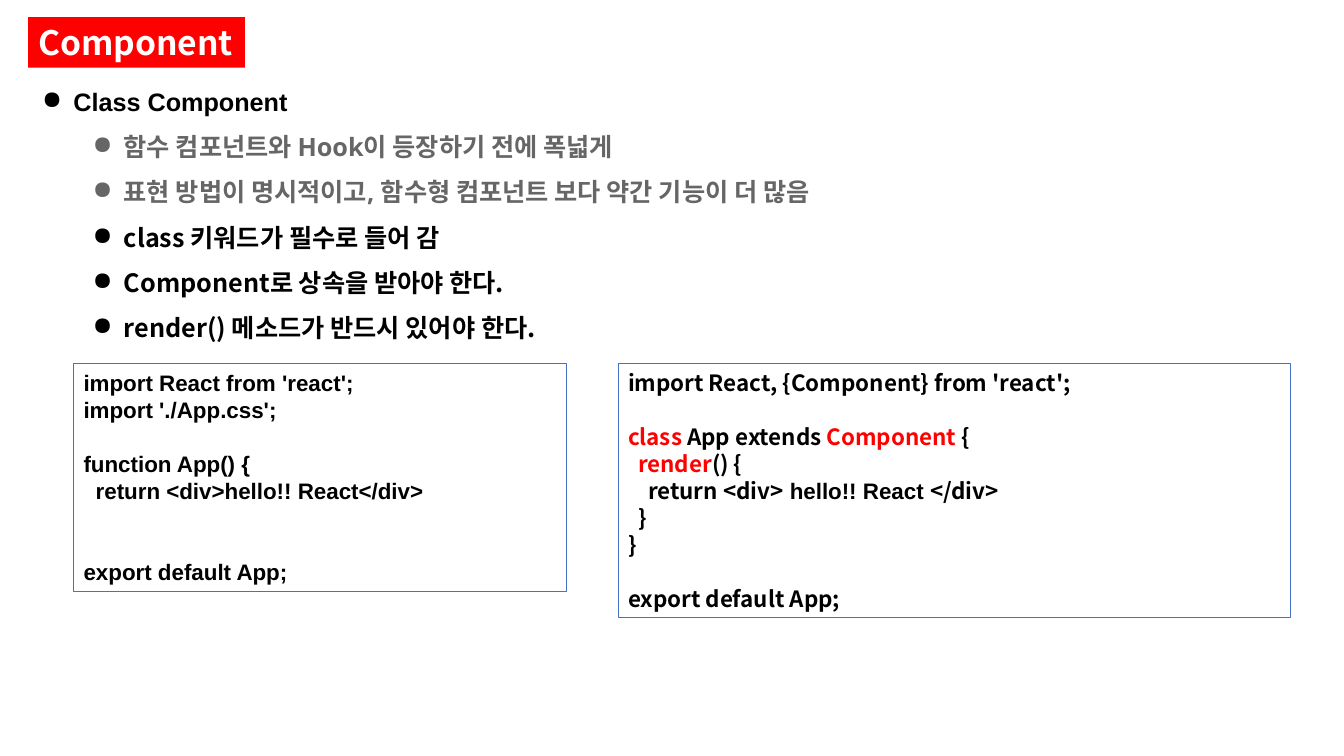
from lxml import etree
from pptx import Presentation
from pptx import util as u
from pptx.dml.color import RGBColor
from pptx.enum import shapes, text
from pptx.oxml import ns

SANS, NOTO, KOREAN = "Arial", "Noto Sans", "Noto Sans CJK KR"
BLACK, GREY, WHITE, RED, BLUE = "000000", "666666", "FFFFFF", "FF0000", "4472C4"


def rgb(value):
    return RGBColor.from_string(value)


class SlideBuilder:
    """Holds the style and the slide; places are percentages of the slide's size."""

    bullet_step, bullet_hang = 0.5, 0.31
    line_heights = {16: 19.3, 18: 32.3, 24: 28.8}

    def __init__(self, prs):
        self.width, self.height = prs.slide_width, prs.slide_height
        self.slide = prs.slides.add_slide(prs.slide_layouts[6])

    def place(self, x, y, w, h):
        return [int(share * size / 100) for share, size in
                zip((x, y, w, h), (self.width, self.height) * 2)]

    def frame(self, sp):
        tf = sp.text_frame
        tf.word_wrap = True
        tf.vertical_anchor = text.MSO_ANCHOR.TOP
        return tf

    def box(self, place, fill=None, line=None):
        sp = self.slide.shapes.add_shape(shapes.MSO_SHAPE.RECTANGLE, *self.place(*place))
        sp.shadow.inherit = False
        if fill:
            sp.fill.solid()
            sp.fill.fore_color.rgb = rgb(fill)
        else:
            sp.fill.background()
        if line:
            sp.line.color.rgb = rgb(line)
            sp.line.width = u.Pt(0.75)
        else:
            sp.line.fill.background()
        return self.frame(sp)

    def paragraph(self, tf, first, runs, size, font, color, gap=0):
        """Add runs, each a string or a (string, colour, font) tuple."""
        p = tf.paragraphs[0] if first else tf.add_paragraph()
        p.alignment = text.PP_ALIGN.LEFT
        p.line_spacing = u.Pt(self.line_heights[size])
        p.space_before = u.Pt(gap * self.line_heights[size])
        p.font.size, p.font.bold, p.font.name = u.Pt(size), True, font
        p.font.color.rgb = rgb(color)
        east_asian = etree.SubElement(p.font._element, ns.qn("a:ea"))
        east_asian.set("typeface", KOREAN)
        for run in runs:
            r = p.add_run()
            if isinstance(run, str):
                r.text = run
                continue
            r.text, run_color, run_font = run
            r.font.color.rgb = rgb(run_color)
            r.font.name = run_font
        return p

    def indent(self, p, left, first=0):
        props = p._p.get_or_add_pPr()
        props.set("marL", str(u.Inches(left)))
        props.set("indent", str(u.Inches(first)))
        return props

    def title(self, place, words):
        self.paragraph(self.box(place, fill=RED), True, [words], 24, KOREAN, WHITE)

    def bullets(self, place, items):
        tf = self.frame(self.slide.shapes.add_textbox(*self.place(*place)))
        for i, (level, words, font, color) in enumerate(items):
            p = self.paragraph(tf, i == 0, [words], 18, font, color)
            p.level = level
            left = self.bullet_hang + level * self.bullet_step
            props = self.indent(p, left, -self.bullet_hang)
            mark = etree.Element(ns.qn("a:buChar"), char="●")
            props.find(ns.qn("a:defRPr")).addprevious(mark)

    def code(self, place, lines, font, step):
        """Lines are (indent level, empty lines before, runs)."""
        tf = self.box(place, line=BLUE)
        for i, (level, gap, runs) in enumerate(lines):
            p = self.paragraph(tf, i == 0, runs, 16, font, BLACK, gap)
            self.indent(p, level * step)


def main():
    prs = Presentation()
    prs.slide_width, prs.slide_height = u.Inches(13.33), u.Inches(7.5)
    s = SlideBuilder(prs)

    s.bullets((2.4, 8.8, 69.3, 37.07), [
        (0, "Class Component", SANS, BLACK),
        (1, "함수 컴포넌트와 Hook이 등장하기 전에 폭넓게", NOTO, GREY),
        (1, "표현 방법이 명시적이고, 함수형 컴포넌트 보다 약간 기능이 더 많음", NOTO, GREY),
        (1, "class 키워드가 필수로 들어 감", KOREAN, BLACK),
        (1, "Component로 상속을 받아야 한다.", KOREAN, BLACK),
        (1, "render() 메소드가 반드시 있어야 한다.", KOREAN, BLACK),
    ])
    s.title((2.1, 2.27, 16.13, 6.67), "Component")
    s.code((5.48, 48.13, 36.68, 30.13), [
        (0, 0, ["import React from 'react';"]),
        (0, 0, ["import './App.css';"]),
        (0, 1, ["function App() {"]),
        (1, 0, ["return <div>hello!! React</div>"]),
        (0, 2, ["export default App;"]),
    ], SANS, 0.12)
    s.code((45.99, 48.13, 50.04, 33.6), [
        (0, 0, ["import React, {Component} from 'react';"]),
        (0, 1, [("class ", RED, KOREAN), "App extends ", ("Component", RED, KOREAN), " {"]),
        (1, 0, [("render", RED, KOREAN), "() {"]),
        (2, 0, ["return <div>", (" hello!! React ", BLACK, SANS), "</div>"]),
        (1, 0, ["}"]),
        (0, 0, ["}"]),
        (0, 1, ["export default App;"]),
    ], KOREAN, 0.1)
    prs.save("out.pptx")


if __name__ == "__main__":
    main()
